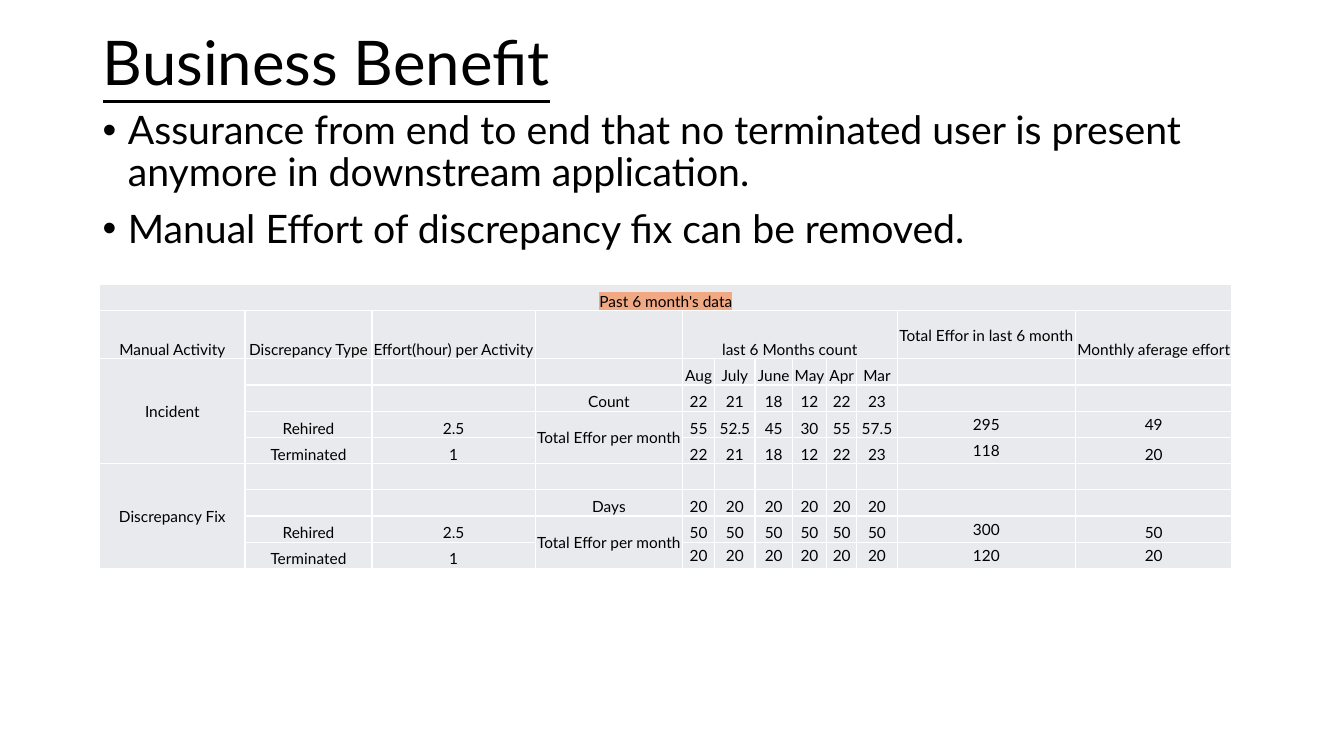
from pptx import Presentation
from pptx.dml.color import RGBColor
from pptx.enum import text as t
from pptx.oxml import parse_xml
from pptx.oxml.ns import nsdecls, qn
from pptx.util import Inches, Pt

FONT = "Lato"
COLORS = {"ink": "000000", "cell": "E8EAED", "grid": "FFFFFF", "mark": "F1A983"}

BENEFITS = [
    "Assurance from end to end that no terminated user is present anymore "
    "in downstream application.",
    "Manual Effort of discrepancy fix can be removed.",
]

COLUMN_WIDTHS = [1.44, 1.26, 1.62, 1.46, 0.32, 0.4, 0.37, 0.34, 0.3, 0.4, 1.77, 1.55]
ROW_HEIGHT, HEADER_HEIGHT = 0.26, 0.48
EFFORT_ROWS = [
    ["Past 6 month's data"],
    ["Manual Activity", "Discrepancy Type", "Effort(hour) per Activity", "",
     "last 6 Months count", "", "", "", "", "",
     "Total Effor in last 6 month", "Monthly aferage effort"],
    ["Incident", "", "", "", "Aug", "July", "June", "May", "Apr", "Mar"],
    ["", "", "", "Count", "22", "21", "18", "12", "22", "23"],
    ["", "Rehired", "2.5", "Total Effor per month",
     "55", "52.5", "45", "30", "55", "57.5", "295", "49"],
    ["", "Terminated", "1", "", "22", "21", "18", "12", "22", "23", "118", "20"],
    ["Discrepancy Fix"],
    ["", "", "", "Days"] + ["20"] * 6,
    ["", "Rehired", "2.5", "Total Effor per month"] + ["50"] * 6 + ["300", "50"],
    ["", "Terminated", "1", ""] + ["20"] * 6 + ["120", "20"],
]
# First and last (row, column) of each merged block
MERGES = [((0, 0), (0, 11)), ((1, 4), (1, 9)),
          ((2, 0), (5, 0)), ((6, 0), (9, 0)),
          ((4, 3), (5, 3)), ((8, 3), (9, 3))]
MIDDLE_CELLS = ({(2, 0), (6, 0), (4, 3), (8, 3), (4, 11)}
                | {(row, 10) for row in (1, 4, 5, 8)}
                | {(9, column) for column in range(4, 12)})


def add_run(paragraph, words, size):
    run = paragraph.add_run()
    run.text = words
    run.font.size = Pt(size)
    run.font.name = FONT
    run.font.color.rgb = RGBColor.from_string(COLORS["ink"])
    return run


def highlight(run):
    mark = parse_xml(f'<a:highlight {nsdecls("a")}>'
                     f'<a:srgbClr val="{COLORS["mark"]}"/></a:highlight>')
    run.font._element.find(qn("a:latin")).addprevious(mark)


def place(shape, left, top, width, height):
    shape.left, shape.top = Inches(left), Inches(top)
    shape.width, shape.height = Inches(width), Inches(height)


def set_title(slide, words):
    title = slide.shapes.title
    place(title, 0.92, 0.25, 10.14, 0.8)
    frame = title.text_frame
    frame.auto_size = t.MSO_AUTO_SIZE.NONE
    frame.vertical_anchor = t.MSO_ANCHOR.MIDDLE
    paragraph = frame.paragraphs[0]
    paragraph.alignment = t.PP_ALIGN.LEFT
    paragraph.line_spacing = 0.9
    add_run(paragraph, words, 44).font.underline = True


def add_bullets(slide, points):
    frame = slide.shapes.add_textbox(
        Inches(0.92), Inches(1.05), Inches(11.5), Inches(4.76)).text_frame
    frame.word_wrap = True
    for index, point in enumerate(points):
        paragraph = frame.add_paragraph() if index else frame.paragraphs[0]
        paragraph.line_spacing = 0.9
        paragraph.space_before = Pt(10)
        properties = paragraph._p.get_or_add_pPr()
        properties.set("marL", str(Inches(0.25)))
        properties.set("indent", str(Inches(-0.25)))
        properties.append(parse_xml(f'<a:buFont {nsdecls("a")} typeface="Arial"/>'))
        properties.append(parse_xml(f'<a:buChar {nsdecls("a")} char="•"/>'))
        add_run(paragraph, point, 28)


def format_cell(cell, middle):
    cell.margin_left = cell.margin_right = cell.margin_top = Inches(0.01)
    cell.margin_bottom = 0
    cell.vertical_anchor = t.MSO_ANCHOR.MIDDLE if middle else t.MSO_ANCHOR.BOTTOM
    for side in ("lnL", "lnR", "lnT", "lnB"):
        cell._tc.get_or_add_tcPr().append(parse_xml(
            f'<a:{side} {nsdecls("a")} w="{Pt(1)}"><a:solidFill>'
            f'<a:srgbClr val="{COLORS["grid"]}"/></a:solidFill></a:{side}>'))
    cell.fill.solid()
    cell.fill.fore_color.rgb = RGBColor.from_string(COLORS["cell"])


def fill_cell(cell, words):
    """Write centred words, or keep an empty cell small enough for its row."""
    paragraph = cell.text_frame.paragraphs[0]
    paragraph.alignment = t.PP_ALIGN.CENTER
    if words:
        return add_run(paragraph, words, 11)
    paragraph._p.append(parse_xml(f'<a:endParaRPr {nsdecls("a")} sz="1100"/>'))


def add_effort_table(slide):
    heights = [HEADER_HEIGHT if row == 1 else ROW_HEIGHT
               for row in range(len(EFFORT_ROWS))]
    table = slide.shapes.add_table(
        len(heights), len(COLUMN_WIDTHS), Inches(0.99), Inches(2.82),
        Inches(sum(COLUMN_WIDTHS)), Inches(sum(heights))).table
    table.first_row = table.horz_banding = False
    for column, width in zip(table.columns, COLUMN_WIDTHS):
        column.width = Inches(width)
    for row, height in zip(table.rows, heights):
        row.height = Inches(height)
    for row, entries in enumerate(EFFORT_ROWS):
        padded = entries + [""] * (len(COLUMN_WIDTHS) - len(entries))
        for column, words in enumerate(padded):
            cell = table.cell(row, column)
            format_cell(cell, (row, column) in MIDDLE_CELLS)
            run = fill_cell(cell, words)
            if row == 0 and run:
                highlight(run)
    for first, last in MERGES:
        table.cell(*first).merge(table.cell(*last))


def main():
    deck = Presentation()
    deck.slide_width, deck.slide_height = Inches(13.33), Inches(7.5)
    slide = deck.slides.add_slide(deck.slide_layouts[5])
    set_title(slide, "Business Benefit")
    add_bullets(slide, BENEFITS)
    add_effort_table(slide)
    deck.save("out.pptx")


if __name__ == "__main__":
    main()
